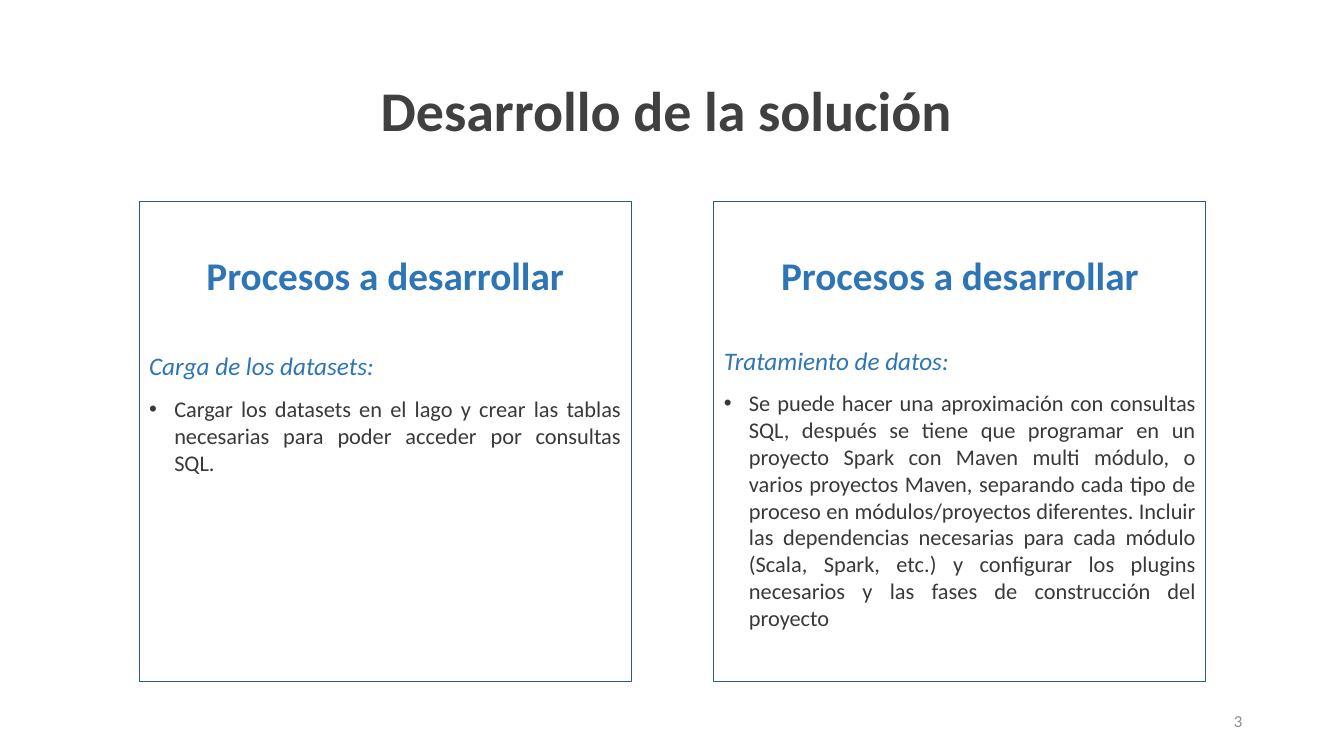
from lxml.etree import SubElement
from pptx import Presentation
from pptx.dml.color import RGBColor
from pptx.enum.shapes import MSO_SHAPE
from pptx.enum.text import MSO_ANCHOR, PP_ALIGN
from pptx.oxml.ns import qn
from pptx.util import Inches, Pt


def color(value):
    return RGBColor.from_string(value)


def write(paragraph, text, size=16, fill="3B3838", bold=False, italic=False,
          align=PP_ALIGN.LEFT, spacing=1.0, before=0, bullet=False):
    paragraph.alignment = align
    paragraph.line_spacing = spacing
    paragraph.space_before = Pt(before)
    run = paragraph.add_run()
    run.text = text
    run.font.name = "Calibri"
    run.font.size = Pt(size)
    run.font.bold = bold
    run.font.italic = italic
    run.font.color.rgb = color(fill)
    if bullet:
        properties = paragraph._p.get_or_add_pPr()
        properties.set("marL", str(Inches(0.25)))
        properties.set("indent", str(Inches(-0.25)))
        SubElement(properties, qn("a:buFont"), typeface="Arial")
        SubElement(properties, qn("a:buChar"), char="•")


class SolutionSlide:
    """Holds the style and the slide, with a method per kind of element."""

    accent = "2E75B5"
    border = "2F5597"

    def __init__(self, slide):
        self.slide = slide

    def label(self, text, left, top, width, height, **style):
        frame = self.slide.shapes.add_textbox(
            Inches(left), Inches(top), Inches(width), Inches(height)).text_frame
        frame.word_wrap = True
        frame.vertical_anchor = MSO_ANCHOR.MIDDLE
        write(frame.paragraphs[0], text, **style)

    def panel(self, left, heading, subtitle, detail, **subtitle_style):
        card = self.slide.shapes.add_shape(
            MSO_SHAPE.RECTANGLE, Inches(left), Inches(2), Inches(4.88), Inches(4.76))
        card.shadow.inherit = False
        card.fill.background()
        card.line.color.rgb = color(self.border)
        card.line.width = Pt(0.75)
        frame = card.text_frame
        frame.word_wrap = True
        frame.vertical_anchor = MSO_ANCHOR.TOP
        frame.margin_top = Inches(0.49)
        write(frame.paragraphs[0], heading, size=28, fill=self.accent, bold=True,
              align=PP_ALIGN.CENTER)
        write(frame.add_paragraph(), subtitle, size=18, fill=self.accent,
              italic=True, **subtitle_style)
        write(frame.add_paragraph(), detail, align=PP_ALIGN.JUSTIFY, before=10,
              bullet=True)


def main():
    deck = Presentation()
    deck.slide_width = Inches(13.33)
    deck.slide_height = Inches(7.5)
    page = SolutionSlide(deck.slides.add_slide(deck.slide_layouts[6]))
    page.label("Desarrollo de la solución ", 0.92, 0.4, 11.5, 1.45, size=40,
               fill="404040", bold=True, align=PP_ALIGN.CENTER, spacing=0.9)
    page.panel(1.38, "Procesos a desarrollar", "Carga de los datasets:",
               "Cargar los datasets en el lago y crear las tablas necesarias para "
               "poder acceder por consultas SQL.", spacing=0.9, before=40)
    page.panel(7.08, "Procesos a desarrollar", "Tratamiento de datos:",
               "Se puede hacer una aproximación con consultas SQL, después se tiene "
               "que programar en un proyecto Spark con Maven multi módulo, o varios "
               "proyectos Maven, separando cada tipo de proceso en "
               "módulos/proyectos diferentes. Incluir las dependencias necesarias "
               "para cada módulo (Scala, Spark, etc.) y configurar los plugins "
               "necesarios y las fases de construcción del proyecto",
               align=PP_ALIGN.JUSTIFY, spacing=1.07, before=32)
    page.label("3", 9.42, 6.95, 3, 0.4, size=12, fill="8C8C8C",
               align=PP_ALIGN.RIGHT)
    deck.save("out.pptx")


if __name__ == "__main__":
    main()
